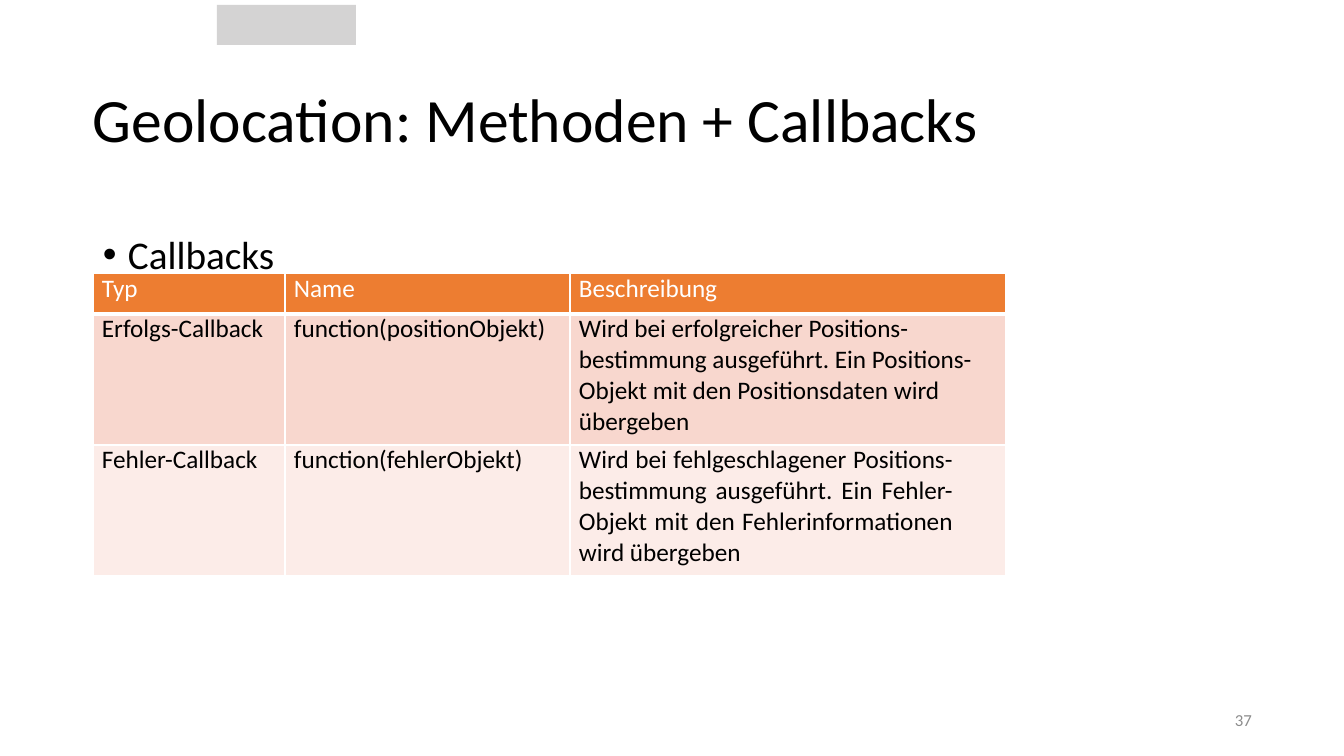
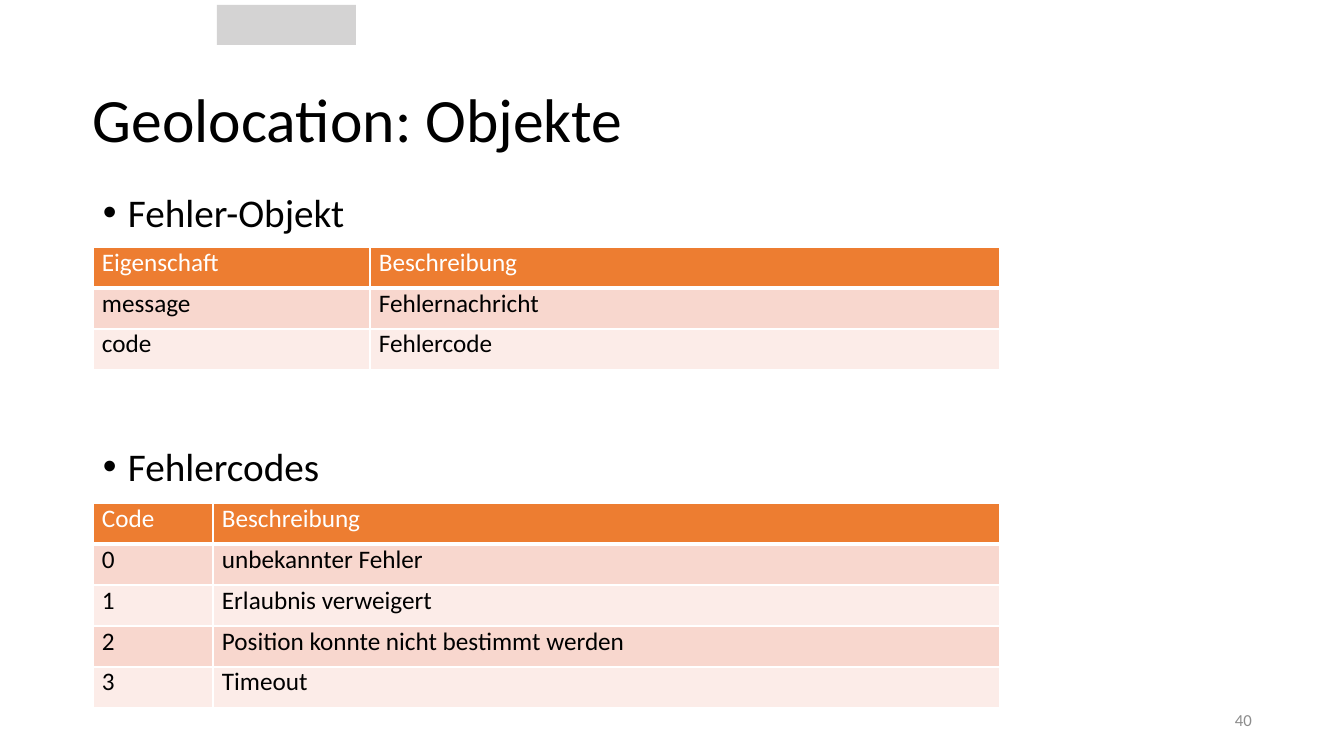
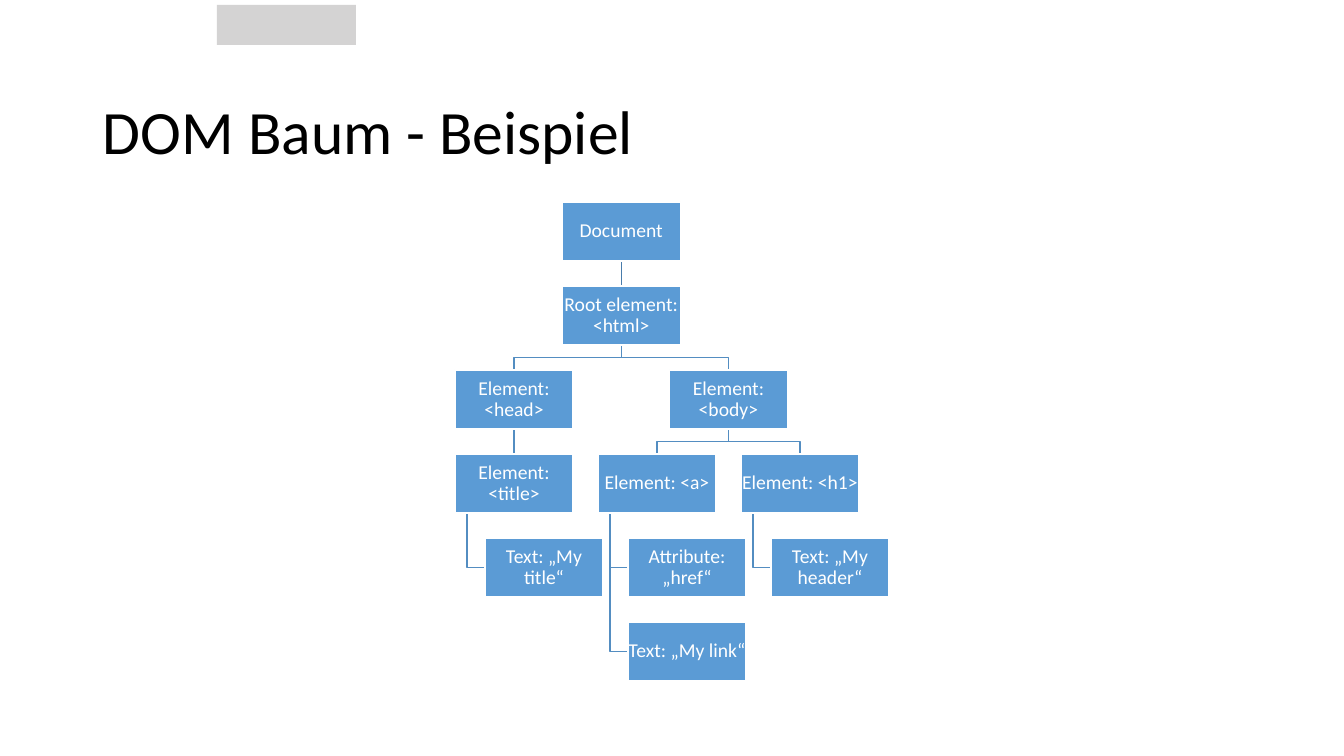
import collections

import pptx
import pptx.dml.color
import pptx.enum.shapes
import pptx.enum.text
import pptx.oxml
import pptx.oxml.ns
import pptx.util

EMU_PER_PX = 914400 / 100.8
FONT = "Calibri"
COLORS = {
    "text": "000000",
    "white": "FFFFFF",
    "band": "D4D3D3",
    "page": "8C8C8C",
    "header": "ED7D31",
    "odd_row": "F8D7CE",
    "even_row": "FCECE8",
    "node": "5B9BD5",
    "branch": "538DC1",
    "root_branch": "497CAB",
}
ALIGN = pptx.enum.text.PP_ALIGN
ANCHOR = pptx.enum.text.MSO_ANCHOR
RECTANGLE = pptx.enum.shapes.MSO_SHAPE.RECTANGLE

Box = collections.namedtuple("Box", "left top width height")
Node = collections.namedtuple("Node", "label children hanging", defaults=((), False))
Placed = collections.namedtuple("Placed", "node box children")

SLIDE_WIDTH, SLIDE_HEIGHT = 1344, 756
BAND = Box(217, 5, 139, 40)
TITLE = Box(93, 50, 1159, 136)
PAGE_NUMBER = Box(950, 701, 302, 40)
CONTENT_LEFT = 93
HEADER_ROW = 41

NODE_WIDTH, NODE_HEIGHT = 118, 59
COLUMN_STEP, LEVEL_STEP = 143, 84
HANGING_INDENT, TRUNK_INSET = 30, 12


def px(length):
    return pptx.util.Emu(round(length * EMU_PER_PX))


def px_box(box):
    return [px(length) for length in box]


def color(name):
    return pptx.dml.color.RGBColor.from_string(COLORS[name])


def set_margins(target, left=0, top=0, right=0, bottom=0):
    target.margin_left, target.margin_top = px(left), px(top)
    target.margin_right, target.margin_bottom = px(right), px(bottom)


def write(frame, text, size, color_name="text", align=ALIGN.LEFT, spacing=None):
    frame.text = text
    frame.word_wrap = True
    paragraph = frame.paragraphs[0]
    paragraph.alignment = align
    paragraph.line_spacing = spacing
    for run in paragraph.runs:
        run.font.name = FONT
        run.font.size = pptx.util.Pt(size)
        run.font.color.rgb = color(color_name)


def add_rectangle(slide, box, fill, outline=None):
    rectangle = slide.shapes.add_shape(RECTANGLE, *px_box(box))
    rectangle.shadow.inherit = False
    rectangle.fill.solid()
    rectangle.fill.fore_color.rgb = color(fill)
    if outline:
        rectangle.line.color.rgb = color(outline)
        rectangle.line.width = pptx.util.Pt(1)
    else:
        rectangle.line.fill.background()
    return rectangle


def add_page_number(slide, number):
    frame = slide.shapes.add_textbox(*px_box(PAGE_NUMBER)).text_frame
    set_margins(frame)
    frame.vertical_anchor = ANCHOR.MIDDLE
    write(frame, str(number), 12, "page", ALIGN.RIGHT, pptx.util.Pt(12.4))


def add_slide(deck, title, page=None, title_margins=(0, 0, 0, 0), title_spacing=None):
    slide = deck.slides.add_slide(deck.slide_layouts[5])
    add_rectangle(slide, BAND, "band")
    heading = slide.shapes.title
    heading.left, heading.top, heading.width, heading.height = px_box(TITLE)
    frame = heading.text_frame
    frame.auto_size = pptx.enum.text.MSO_AUTO_SIZE.NONE
    frame.vertical_anchor = ANCHOR.MIDDLE
    set_margins(frame, *title_margins)
    write(frame, title, 44, spacing=title_spacing)
    if page:
        add_page_number(slide, page)
    return slide


def add_bullet_heading(slide, box, text):
    frame = slide.shapes.add_textbox(*px_box(box)).text_frame
    set_margins(frame, 10, 5, 10, 5)
    write(frame, text, 28, spacing=1.5)
    properties = frame.paragraphs[0]._p.get_or_add_pPr()
    properties.set("marL", str(px(25)))
    properties.set("indent", str(px(-25)))
    namespace = pptx.oxml.ns.nsdecls("a")
    properties.append(pptx.oxml.parse_xml(f'<a:buFont {namespace} typeface="Arial"/>'))
    properties.append(pptx.oxml.parse_xml(f'<a:buChar {namespace} char="•"/>'))


def set_borders(cell, bottom_points):
    properties = cell._tc.get_or_add_tcPr()
    for side, points in (("L", 1), ("R", 1), ("T", 1), ("B", bottom_points)):
        properties.append(pptx.oxml.parse_xml(
            f'<a:ln{side} {pptx.oxml.ns.nsdecls("a")} w="{pptx.util.Pt(points)}">'
            f'<a:solidFill><a:srgbClr val="{COLORS["white"]}"/></a:solidFill>'
            f'</a:ln{side}>'))


def add_table(slide, left, top, column_widths, row_height, rows):
    heights = [HEADER_ROW] + [row_height] * (len(rows) - 1)
    box = Box(left, top, sum(column_widths), sum(heights))
    table = slide.shapes.add_table(len(rows), len(column_widths), *px_box(box)).table
    table.first_row = table.horz_banding = False
    for column, width in zip(table.columns, column_widths):
        column.width = px(width)
    for index, (row, height, texts) in enumerate(zip(table.rows, heights, rows)):
        row.height = px(height)
        is_header = index == 0
        fill = "header" if is_header else "odd_row" if index % 2 else "even_row"
        for cell, text in zip(row.cells, texts):
            set_margins(cell, left=9)
            write(cell.text_frame, text, 18, "white" if is_header else "text")
            set_borders(cell, 3 if is_header else 1)
            cell.fill.solid()
            cell.fill.fore_color.rgb = color(fill)
    return table


def add_table_section(slide, box, heading, table_offset, column_widths, row_height, rows):
    add_bullet_heading(slide, Box(box.left, box.top, box.width, 82), heading)
    return add_table(slide, box.left, box.top + table_offset, column_widths, row_height, rows)


def place_tree(node, origin, columns, level=0):
    top = origin.top + level * LEVEL_STEP
    if node.children and not node.hanging:
        children = [place_tree(child, origin, columns, level + 1) for child in node.children]
        left = (children[0].box.left + children[-1].box.left) / 2
    else:
        left = origin.left + next(columns) * COLUMN_STEP
        children = [
            Placed(child, Box(left + HANGING_INDENT, top + step * LEVEL_STEP,
                              NODE_WIDTH, NODE_HEIGHT), [])
            for step, child in enumerate(node.children, 1)]
    return Placed(node, Box(left, top, NODE_WIDTH, NODE_HEIGHT), children)


def add_branch(slide, points, color_name):
    points = [(px(x), px(y)) for x, y in points]
    if len(points) == 2:
        branch = slide.shapes.add_connector(
            pptx.enum.shapes.MSO_CONNECTOR.STRAIGHT, *points[0], *points[1])
        branch._element.spPr.append(pptx.oxml.parse_xml(
            f'<a:effectLst {pptx.oxml.ns.nsdecls("a")}/>'))
    else:
        builder = slide.shapes.build_freeform(*points[0])
        branch = builder.add_line_segments(points[1:], close=False).convert_to_shape()
        branch.shadow.inherit = False
        branch.fill.background()
    branch.line.color.rgb = color(color_name)
    branch.line.width = pptx.util.Pt(1)


def branch_points(parent, child, hanging):
    bottom = parent.top + NODE_HEIGHT
    if hanging:
        trunk, middle = parent.left + TRUNK_INSET, child.top + NODE_HEIGHT / 2
        return [(trunk, bottom), (trunk, middle), (child.left, middle)]
    start, end = parent.left + NODE_WIDTH / 2, child.left + NODE_WIDTH / 2
    if start == end:
        return [(start, bottom), (end, child.top)]
    middle = (bottom + child.top) / 2
    return [(start, bottom), (start, middle), (end, middle), (end, child.top)]


def draw_branches(slide, placed, color_name="branch"):
    for child in placed.children:
        points = branch_points(placed.box, child.box, placed.node.hanging)
        add_branch(slide, points, color_name)
        draw_branches(slide, child)


def draw_nodes(slide, placed):
    frame = add_rectangle(slide, placed.box, "node", "white").text_frame
    set_margins(frame)
    frame.vertical_anchor = ANCHOR.MIDDLE
    write(frame, placed.node.label, 14, "white", ALIGN.CENTER, 0.9)
    for child in placed.children:
        draw_nodes(slide, child)


def add_tree(slide, box, root):
    placed = place_tree(root, box, iter(range(box.width // COLUMN_STEP + 1)))
    draw_branches(slide, placed, "root_branch")
    draw_nodes(slide, placed)


def build_callbacks(deck):
    slide = add_slide(deck, "Geolocation: Methoden + Callbacks", 37)
    table = add_table_section(
        slide, Box(CONTENT_LEFT, 202, 1159, 480), "Callbacks", 71, (192, 285, 436), 131, [
            ("Typ", "Name", "Beschreibung"),
            ("Erfolgs-Callback", "function(positionObjekt)",
             "Wird bei erfolgreicher Positions- bestimmung ausgeführt. Ein Positions- "
             "Objekt mit den Positionsdaten wird übergeben"),
            ("Fehler-Callback", "function(fehlerObjekt)",
             "Wird bei fehlgeschlagener Positions- bestimmung ausgeführt. Ein Fehler- "
             "Objekt mit den Fehlerinformationen wird übergeben"),
        ])
    error_description = table.cell(2, 2)
    error_description.margin_right = px(53)
    error_description.text_frame.paragraphs[0].alignment = ALIGN.JUSTIFY


def build_objects(deck):
    slide = add_slide(deck, "Geolocation: Objekte", 40)
    add_table_section(
        slide, Box(CONTENT_LEFT, 160, 1159, 210), "Fehler-Objekt", 87, (277, 630), 41, [
            ("Eigenschaft", "Beschreibung"),
            ("message", "Fehlernachricht"),
            ("code", "Fehlercode"),
        ])
    add_table_section(
        slide, Box(CONTENT_LEFT, 414, 1159, 294), "Fehlercodes", 89, (120, 787), 41, [
            ("Code", "Beschreibung"),
            ("0", "unbekannter Fehler"),
            ("1", "Erlaubnis verweigert"),
            ("2", "Position konnte nicht bestimmt werden"),
            ("3", "Timeout"),
        ])


def build_dom_tree(deck):
    slide = add_slide(deck, "DOM Baum - Beispiel", None, (10, 39, 10, 5), 0.9)
    head = Node("Element: <head>", (
        Node("Element: <title>", (Node("Text: „My title“"),), True),))
    body = Node("Element: <body>", (
        Node("Element: <a>", (Node("Attribute: „href“"), Node("Text: „My link“")), True),
        Node("Element: <h1>", (Node("Text: „My header“"),), True)))
    document = Node("Document", (Node("Root element: <html>", (head, body)),))
    add_tree(slide, Box(455, 202, 434, 479), document)


def main():
    deck = pptx.Presentation()
    deck.slide_width, deck.slide_height = px(SLIDE_WIDTH), px(SLIDE_HEIGHT)
    build_callbacks(deck)
    build_objects(deck)
    build_dom_tree(deck)
    deck.save("out.pptx")


if __name__ == "__main__":
    main()
